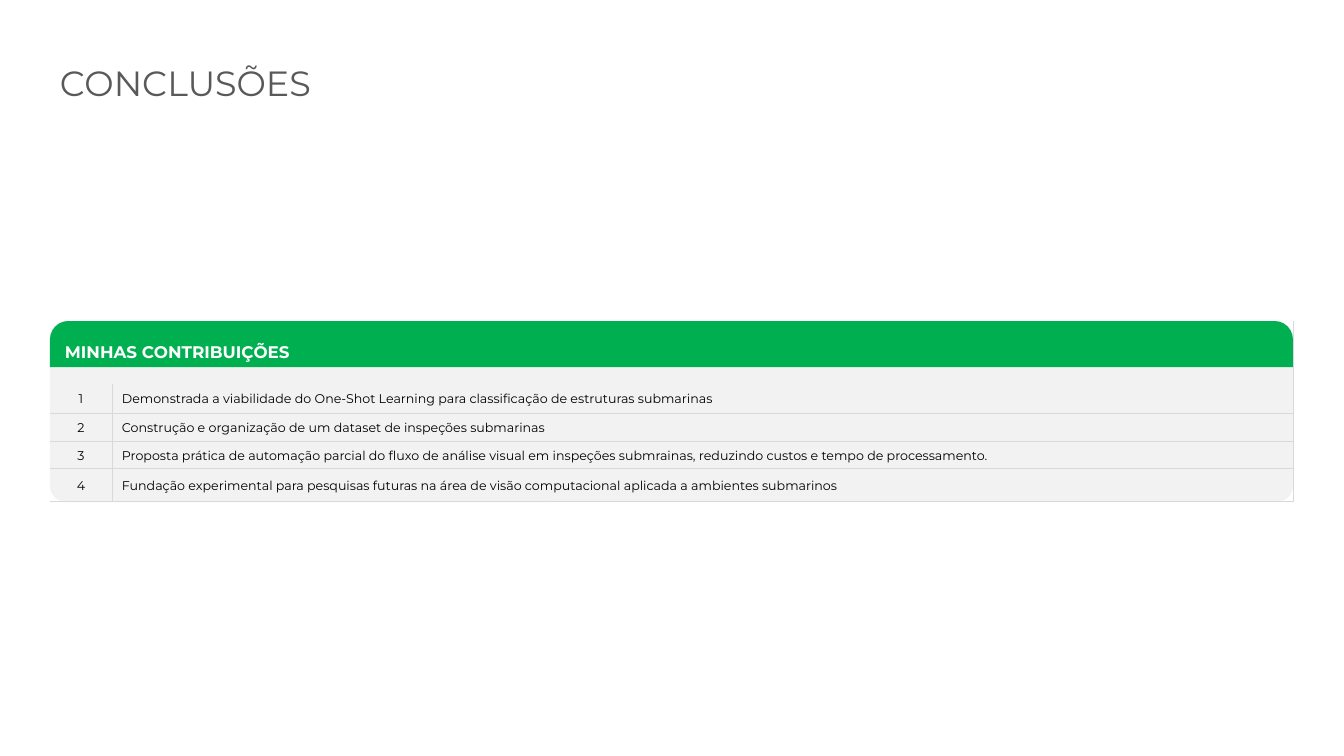
"""Build the conclusions slide with its table of contributions."""
import pptx
import pptx.util
import pptx.dml.color
import pptx.enum.shapes
import pptx.enum.text
import pptx.oxml.ns
import lxml.etree

TITLE = "CONCLUSÕES"
HEADING = "MINHAS CONTRIBUIÇÕES"
CONTRIBUTIONS = [
    "Demonstrada a viabilidade do One-Shot Learning para classificação de estruturas submarinas",
    "Construção e organização de um dataset de inspeções submarinas",
    "Proposta prática de automação parcial do fluxo de análise visual em inspeções submrainas, "
    "reduzindo custos e tempo de processamento.",
    "Fundação experimental para pesquisas futuras na área de visão computacional aplicada a "
    "ambientes submarinos",
]
FONT = "Montserrat"
GREEN, PANEL_GREY, RULE_GREY = "00B050", "F2F2F2", "D9D9D9"
TITLE_GREY, BLACK, WHITE = "595959", "000000", "FFFFFF"
LEFT, TOP, BAND_HEIGHT = 50, 321, 46
COLUMNS = [62, 1181]
ROWS = [63, 30, 28, 27, 33]
NO_STYLE_NO_GRID = "{2D5ABB26-0587-4C30-8999-92F81FD0307C}"
SHAPES = pptx.enum.shapes.MSO_SHAPE
ALIGN = pptx.enum.text.PP_ALIGN


def px(length):
    return pptx.util.Emu(round(length * 914400 / 100.8))


def color(code):
    return pptx.dml.color.RGBColor.from_string(code)


def write(para, text, size, code, bold=False):
    span = para.add_run()
    span.text = text
    span.font.name = FONT
    span.font.size = pptx.util.Pt(size)
    span.font.bold = bold
    span.font.color.rgb = color(code)


def add_panel(page, kind, height, code, adjustments):
    panel = page.shapes.add_shape(kind, px(LEFT), px(TOP), px(sum(COLUMNS)), px(height))
    panel.shadow.inherit = False
    panel.fill.solid()
    panel.fill.fore_color.rgb = color(code)
    panel.line.fill.background()
    for index, value in enumerate(adjustments):
        panel.adjustments[index] = value


def format_cell(cell, margins, edges):
    cell.margin_left, cell.margin_top, cell.margin_right, cell.margin_bottom = map(px, margins)
    cell.vertical_anchor = pptx.enum.text.MSO_ANCHOR.MIDDLE
    properties = cell._tc.get_or_add_tcPr()
    qn = pptx.oxml.ns.qn
    for edge in edges:
        rule = lxml.etree.SubElement(properties, qn(f"a:ln{edge}"), w=str(pptx.util.Pt(0.75)))
        fill = lxml.etree.SubElement(rule, qn("a:solidFill"))
        lxml.etree.SubElement(fill, qn("a:srgbClr"), val=RULE_GREY)
    cell.fill.background()


def add_contributions(page):
    frame = page.shapes.add_table(
        len(ROWS), len(COLUMNS), px(LEFT), px(TOP), px(sum(COLUMNS)), px(sum(ROWS)))
    table = frame.table
    table.horz_banding = False
    table._tbl.tblPr.find(pptx.oxml.ns.qn("a:tableStyleId")).text = NO_STYLE_NO_GRID
    for column, width in zip(table.columns, COLUMNS):
        column.width = px(width)
    for row, height in zip(table.rows, ROWS):
        row.height = px(height)

    heading = table.cell(0, 0)
    heading.merge(table.cell(0, 1))
    format_cell(heading, (15, 5, 0, 5), "R")
    format_cell(table.cell(0, 1), (15, 5, 0, 5), "R")
    write(heading.text_frame.paragraphs[0], HEADING, 12, WHITE, True)

    for number, contribution in enumerate(CONTRIBUTIONS, 1):
        entries = [(str(number), ALIGN.CENTER), (contribution, ALIGN.LEFT)]
        for column, (text, alignment) in enumerate(entries):
            cell = table.cell(number, column)
            format_cell(cell, (10, 3, 10, 5), "RB")
            para = cell.text_frame.paragraphs[0]
            para.alignment = alignment
            para.line_spacing = pptx.util.Pt(13)
            write(para, text, 9, BLACK)


def main():
    deck = pptx.Presentation()
    deck.slide_width, deck.slide_height = px(1344), px(756)
    page = deck.slides.add_slide(deck.slide_layouts[6])
    box = page.shapes.add_textbox(px(LEFT), px(57), px(473), px(52))
    box.text_frame.word_wrap = True
    write(box.text_frame.paragraphs[0], TITLE, 25, TITLE_GREY)
    add_panel(page, SHAPES.ROUNDED_RECTANGLE, sum(ROWS), PANEL_GREY, [0.09])
    add_panel(page, SHAPES.ROUND_2_SAME_RECTANGLE, BAND_HEIGHT, GREEN, [0.4, 0])
    add_contributions(page)
    deck.save("out.pptx")


if __name__ == "__main__":
    main()
